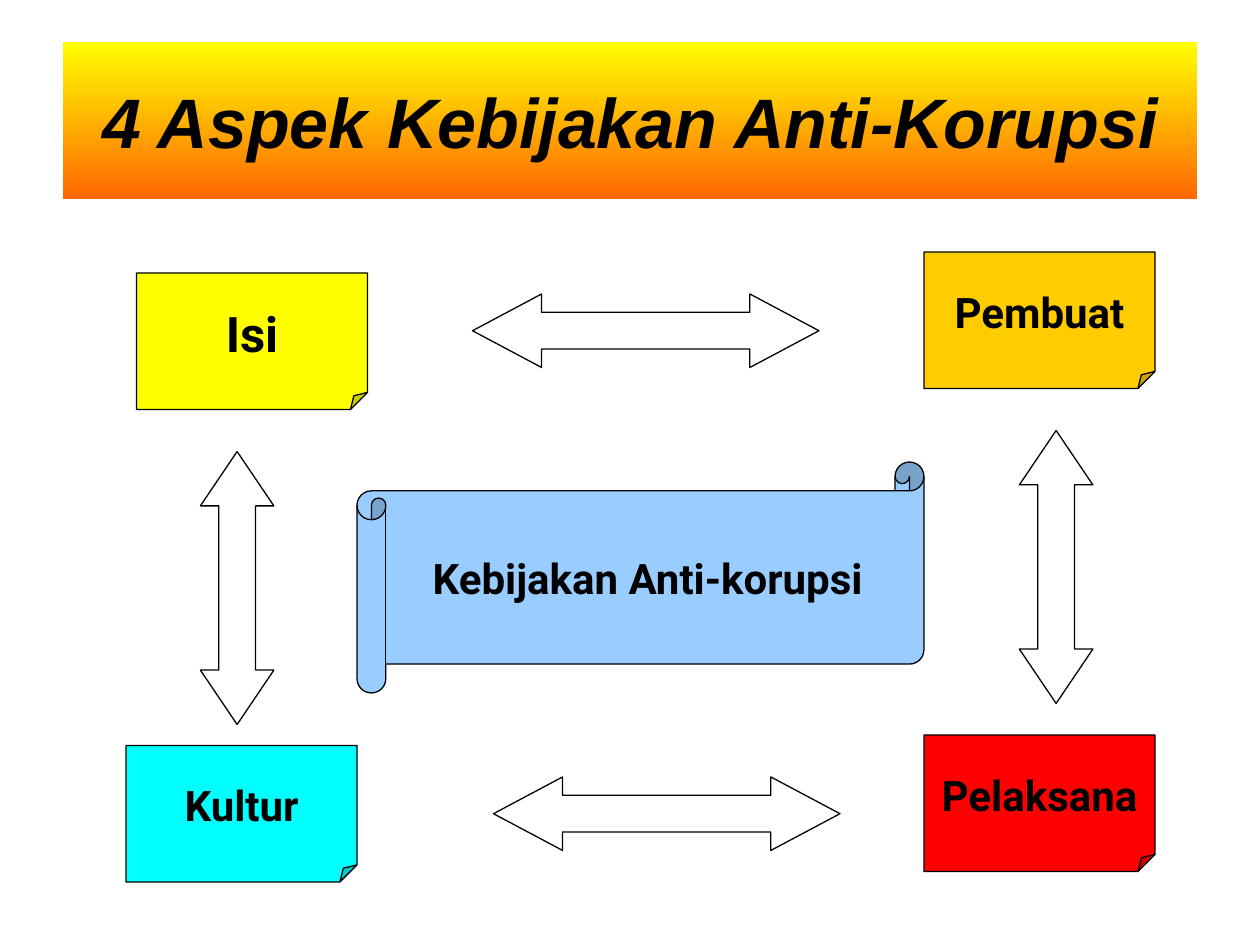
from lxml.etree import SubElement as Sub
from pptx import Presentation
from pptx.util import Pt
from pptx.dml.color import RGBColor
from pptx.enum.shapes import MSO_SHAPE as Geo
from pptx.enum.text import MSO_ANCHOR as Anchor, MSO_AUTO_SIZE as Auto, PP_ALIGN as Align
from pptx.oxml.ns import qn


def rgb(code):
    """Turn a hex string into a colour."""
    return RGBColor.from_string(code)


def place(shape, box):
    """Move a shape into a box of left, top, width, height."""
    shape.left, shape.top, shape.width, shape.height = map(Pt, box)


def write(shape, text, size, face, wrap=False, slant=None):
    """Set one bold black line in the middle of a shape."""
    frame = shape.text_frame
    frame.text = text
    frame.word_wrap = wrap
    frame.auto_size = Auto.NONE
    frame.vertical_anchor = Anchor.MIDDLE
    para = frame.paragraphs[0]
    para.alignment = Align.CENTER
    font = para.font
    font.name, font.size = face, Pt(size)
    font.bold, font.italic = True, slant
    font.color.rgb = rgb("000000")


def banner(slide, box, text):
    """Format the title as a band fading from yellow to orange."""
    title = slide.shapes.title
    place(title, box)
    fill = title.fill
    fill.gradient()
    fill.gradient_angle = 270
    for stop, code in zip(fill.gradient_stops, ("FFFF00", "FF6600")):
        stop.color.rgb = rgb(code)
    write(title, text, 40, "Arial", wrap=True, slant=True)


def solid(slide, kind, box, code):
    """Add a filled shape with a thin black outline."""
    shape = slide.shapes.add_shape(kind, *map(Pt, box))
    shape.shadow.inherit = False
    shape.fill.solid()
    shape.fill.fore_color.rgb = rgb(code)
    shape.line.color.rgb = rgb("000000")
    shape.line.width = Pt(0.75)
    return shape


def note(slide, box, code, text, size):
    """Add a labelled note with a small folded corner."""
    shape = solid(slide, Geo.FOLDED_CORNER, box, code)
    guides = next(shape.element.iter(qn("a:avLst")))
    Sub(guides, qn("a:gd"), name="adj", fmla="val 12500")
    write(shape, text, size, "Roboto")


def scroll(slide, box, code, text):
    """Add the labelled scroll in the middle."""
    shape = solid(slide, Geo.HORIZONTAL_SCROLL, box, code)
    write(shape, text, 24, "Roboto")


def arrow(slide, box, head, turn=0):
    """Add a white double arrow, turned by some degrees."""
    shape = solid(slide, Geo.LEFT_RIGHT_ARROW, box, "FFFFFF")
    shape.adjustments[1] = head
    shape.rotation = turn


def main():
    """Build and save the slide."""
    deck = Presentation()
    deck.slide_width, deck.slide_height = Pt(720), Pt(540)
    slide = deck.slides.add_slide(deck.slide_layouts[5])
    banner(slide, (36, 24, 648, 90), "4 Aspek Kebijakan Anti-Korupsi")
    notes = [
        (78, 156, "FFFF00", "Isi", 28),
        (528, 144, "FFCC00", "Pembuat", 24),
        (528, 420, "FF0000", "Pelaksana", 24),
        (72, 426, "00FFFF", "Kultur", 24),
    ]
    for left, top, code, text, size in notes:
        note(slide, (left, top, 132, 78), code, text, size)
    scroll(slide, (204, 264, 324, 132), "99CCFF", "Kebijakan Anti-korupsi")
    for left, top in ((282, 444), (270, 168)):
        arrow(slide, (left, top, 198, 42), 0.94)
    for left, top in ((525.5, 303), (57.5, 315)):
        arrow(slide, (left, top, 156, 42), 0.74, 90)
    deck.save("out.pptx")


if __name__ == "__main__":
    main()
